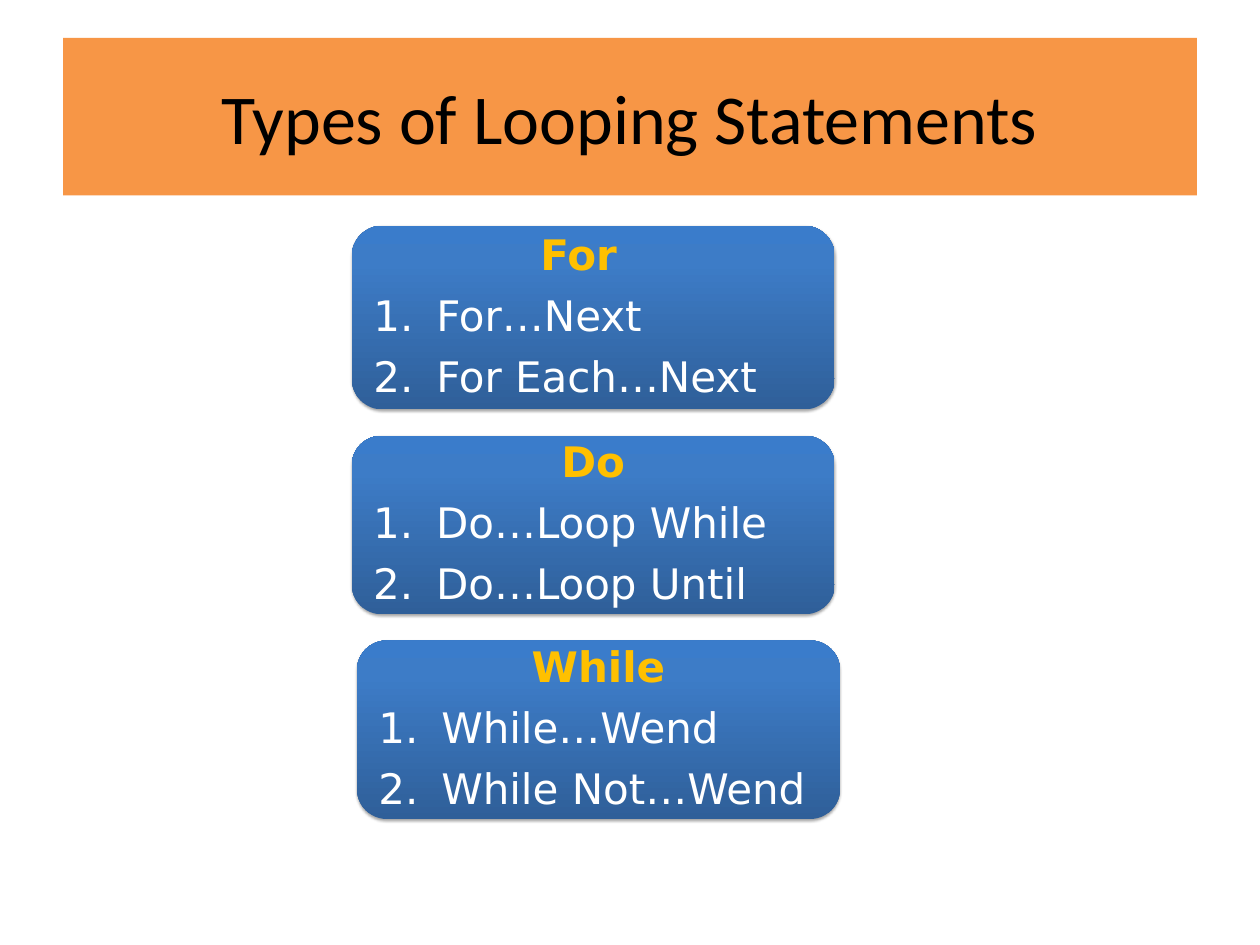
from lxml import etree
from pptx import Presentation
from pptx.dml.color import RGBColor
from pptx.enum import shapes, text
from pptx.oxml import ns
from pptx.util import Pt

COLOURS = {
    "banner": "F79646",
    "title": "000000",
    "heading": "FFC000",
    "item": "FFFFFF",
    "shadow": "000000",
}
GRADIENT = [(0, "2F5F99"), (80, "3D7CC7"), (100, "3A7CCB")]
LOOPS = [
    (402, 258, 210, ["For  ", "For…Next", "For Each…Next"]),
    (402, 498, 204, ["Do", "Do…Loop While", "Do…Loop Until"]),
    (408, 732, 204, ["While", "While…Wend", "While Not…Wend"]),
]


def add_element(parent, tag, **attributes):
    element = etree.SubElement(parent, ns.qn(tag))
    for name, value in attributes.items():
        element.set(name, str(value))
    return element


def format_text(frame, font_name, size):
    frame.word_wrap = True
    frame.auto_size = text.MSO_AUTO_SIZE.NONE
    frame.vertical_anchor = text.MSO_ANCHOR.MIDDLE
    frame.margin_left = frame.margin_right = Pt(14.4)
    frame.margin_top = frame.margin_bottom = Pt(7.2)
    for para in frame.paragraphs:
        for span in para.runs:
            span.font.name = font_name
            span.font.size = Pt(size)


deck = Presentation()
deck.slide_width, deck.slide_height = Pt(1440), Pt(1080)
page = deck.slides.add_slide(deck.slide_layouts[5])

title = page.shapes.title
title.left, title.top, title.width, title.height = Pt(72), Pt(43.2), Pt(1296), Pt(180)
title.fill.solid()
title.fill.fore_color.rgb = RGBColor.from_string(COLOURS["banner"])
title.text_frame.text = "Types of Looping Statements"
format_text(title.text_frame, "Calibri", 80)
title_para = title.text_frame.paragraphs[0]
title_para.alignment = text.PP_ALIGN.CENTER
title_para.runs[0].font.color.rgb = RGBColor.from_string(COLOURS["title"])

for left, top, height, lines in LOOPS:
    box = page.shapes.add_shape(
        shapes.MSO_SHAPE.ROUNDED_RECTANGLE, Pt(left), Pt(top), Pt(552), Pt(height)
    )
    box.line.fill.background()
    box.fill.gradient()
    box.fill.gradient_angle = 90
    stop_list = box._element.spPr.find(".//" + ns.qn("a:gsLst"))
    for stop in list(stop_list):
        stop_list.remove(stop)
    for position, colour in GRADIENT:
        stop = add_element(stop_list, "a:gs", pos=position * 1000)
        add_element(stop, "a:srgbClr", val=colour)

    box.shadow.inherit = False
    effects = box._element.spPr.find(ns.qn("a:effectLst"))
    shadow = add_element(
        effects, "a:outerShdw", blurRad=Pt(3.1), dist=Pt(1.8), dir=5400000, rotWithShape=0
    )
    shadow_colour = add_element(shadow, "a:srgbClr", val=COLOURS["shadow"])
    add_element(shadow_colour, "a:alpha", val=35000)

    frame = box.text_frame
    frame.text = "\n".join(lines)
    format_text(frame, "DejaVu Sans", 48)
    for index, para in enumerate(frame.paragraphs):
        heading = index == 0
        para.alignment = text.PP_ALIGN.CENTER if heading else text.PP_ALIGN.LEFT
        para.line_spacing = 0.9
        para.space_after = Pt(18)
        font = para.runs[0].font
        font.bold = heading
        font.color.rgb = RGBColor.from_string(COLOURS["heading" if heading else "item"])
        if not heading:
            properties = para._p.get_or_add_pPr()
            properties.set("marL", str(Pt(72)))
            properties.set("indent", str(-Pt(72)))
            add_element(properties, "a:buAutoNum", type="arabicPeriod")

deck.save("out.pptx")
